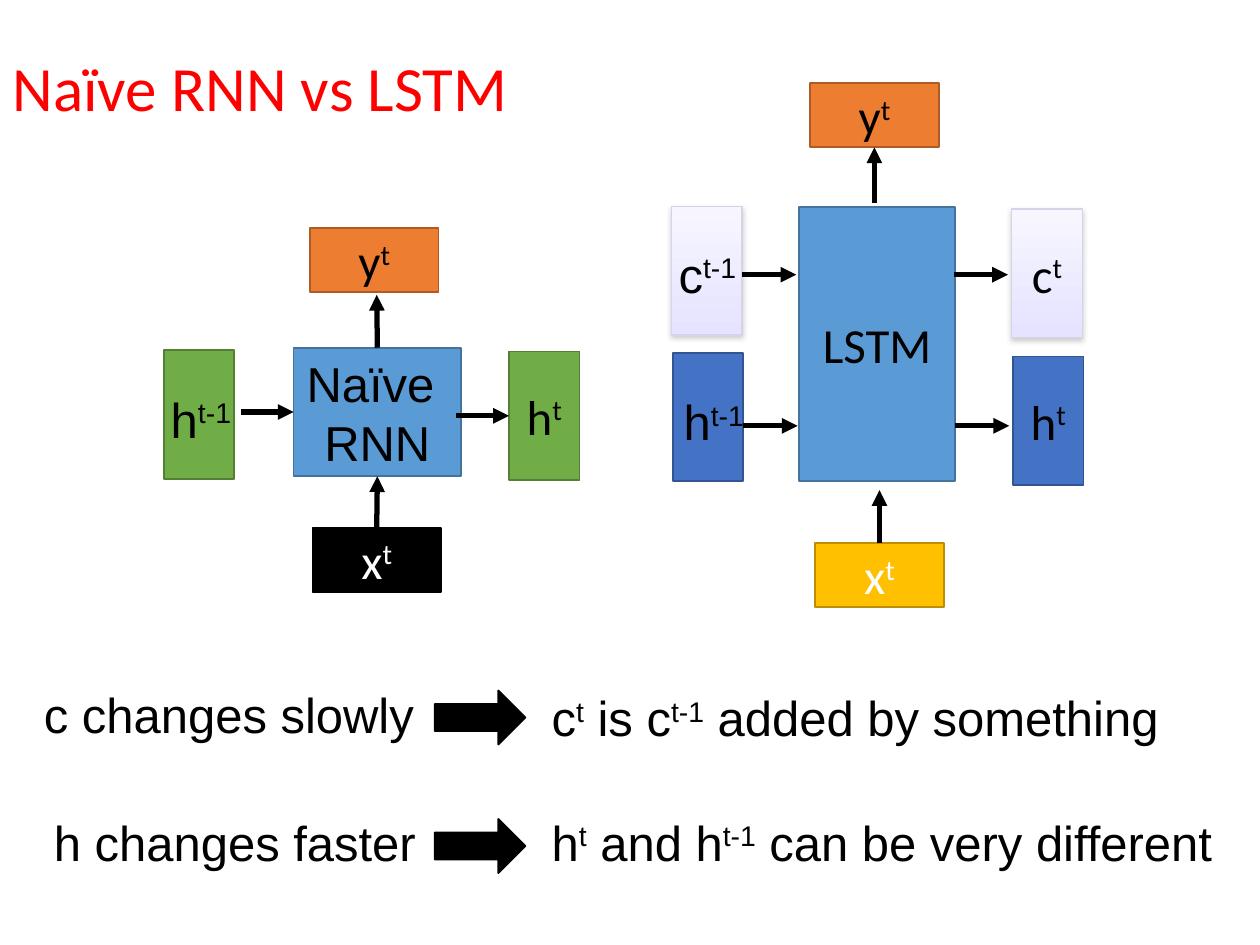
from lxml.etree import SubElement
from pptx import Presentation
from pptx.dml.color import RGBColor
from pptx.enum.shapes import MSO_CONNECTOR, MSO_SHAPE
from pptx.enum.text import MSO_ANCHOR, MSO_AUTO_SIZE, PP_ALIGN
from pptx.oxml.ns import qn
from pptx.util import Inches, Pt

TOP, LEFT, BOTTOM, RIGHT = range(4)
TALL, WIDE = (0.56, 1.02), (1.02, 0.51)
BLACK, WHITE = "000000", "FFFFFF"
GREEN, ORANGE = ("70AD47", "538035"), ("ED7D31", "AF5C24")
LIGHT_BLUE, DEEP_BLUE = ("5B9BD5", "43739E"), ("4472C4", "325491")
GOLD, INK = ("FFC000", "BD8E00"), (BLACK, BLACK)
LAVENDER = (("F7F6FF", "E5E3FF"), "D4D3E7")


def color(hex_value):
    return RGBColor.from_string(hex_value)


def write(frame, markup, font="Arial", ink=BLACK, size=28, align=PP_ALIGN.LEFT):
    """Fill a text frame; parts between bars are superscripts, newlines split paragraphs."""
    for index, line in enumerate(markup.split("\n")):
        paragraph = frame.add_paragraph() if index else frame.paragraphs[0]
        paragraph.alignment = align
        for part, text in enumerate(line.split("|")):
            if not text:
                continue
            run = paragraph.add_run()
            run.text = text
            for key, value in {"name": font, "size": Pt(size)}.items():
                setattr(run.font, key, value)
            run.font.color.rgb = color(ink)
            if part % 2:
                run._r.get_or_add_rPr().set("baseline", "30000")


def add_label(slide, origin, offset, size, markup, wrap=True, align=PP_ALIGN.LEFT):
    position = [Inches(a + b) for a, b in zip(origin, offset)]
    frame = slide.shapes.add_textbox(*position, *map(Inches, size)).text_frame
    frame.word_wrap = wrap
    write(frame, markup, align=align)


def add_state_label(slide, origin, offset, markup):
    add_label(slide, origin, offset, (0.73, 0.57), markup, False, PP_ALIGN.CENTER)


def add_soft_shadow(shape):
    effects = shape._element.spPr.find(qn("a:effectLst"))
    shadow = SubElement(effects, qn("a:outerShdw"), blurRad=str(Pt(3.1)),
                        dist=str(Pt(1.6)), dir="5400000", rotWithShape="0")
    tint = SubElement(shadow, qn("a:srgbClr"), val="808080")
    SubElement(tint, qn("a:alpha"), val="38000")


def add_block(slide, origin, offset, size, palette, markup="", font="Calibri",
              ink=BLACK, kind=MSO_SHAPE.RECTANGLE):
    position = [Inches(a + b) for a, b in zip(origin, offset)]
    block = slide.shapes.add_shape(kind, *position, *map(Inches, size))
    block.shadow.inherit = False
    fill, outline = palette
    block.line.color.rgb = color(outline)
    block.line.width = Pt(1)
    if isinstance(fill, tuple):
        block.fill.gradient()
        block.fill.gradient_angle = 270
        for stop, shade in zip(block.fill.gradient_stops, fill):
            stop.color.rgb = color(shade)
        block.line.width = Pt(0.75)
        add_soft_shadow(block)
    else:
        block.fill.solid()
        block.fill.fore_color.rgb = color(fill)
    if markup:
        block.text_frame.vertical_anchor = MSO_ANCHOR.MIDDLE
        write(block.text_frame, markup, font, ink, align=PP_ALIGN.CENTER)
    return block


def add_flow(slide, origin, start, end, source=None, target=None):
    """Draw an arrow; source and target are optional (block, side) joints."""
    ends = [Inches(origin[axis] + point[axis]) for point in (start, end) for axis in (0, 1)]
    flow = slide.shapes.add_connector(MSO_CONNECTOR.STRAIGHT, *ends)
    flow.line.color.rgb = color(BLACK)
    flow.line.width = Pt(3)
    SubElement(flow.line._get_or_add_ln(), qn("a:tailEnd"), type="triangle")
    SubElement(flow._element.spPr, qn("a:effectLst"))
    if source:
        flow.begin_connect(*source)
    if target:
        flow.end_connect(*target)


def add_title(slide, left, top, width, height):
    title = slide.shapes.title
    box = {"left": left, "top": top, "width": width, "height": height}
    for key, value in box.items():
        setattr(title, key, Inches(value))
    frame = title.text_frame
    frame.auto_size = MSO_AUTO_SIZE.NONE
    frame.vertical_anchor = MSO_ANCHOR.MIDDLE
    write(frame, "Naïve RNN vs LSTM", "Calibri", "FF0000", 36)
    frame.paragraphs[0].line_spacing = 0.9


def add_naive_rnn(slide, left, top):
    box = (left, top)
    add_block(slide, box, (0, 0.97), TALL, GREEN)
    cell = add_block(slide, box, (1.03, 0.95), (1.33, 1.02), LIGHT_BLUE, "Naïve \nRNN", "Arial")
    next_h = add_block(slide, box, (2.74, 0.98), TALL, GREEN, "h|t|")
    add_block(slide, box, (1.16, 0), WIDE, ORANGE, "y|t|")
    x = add_block(slide, box, (1.18, 2.38), WIDE, INK, "x|t|", ink=WHITE)
    add_flow(slide, box, (0.61, 1.46), (1.03, 1.46), target=(cell, LEFT))
    add_flow(slide, box, (2.32, 1.49), (2.74, 1.49), target=(next_h, LEFT))
    add_flow(slide, box, (1.69, 0.95), (1.69, 0.53), source=(cell, TOP))
    add_flow(slide, box, (1.69, 2.38), (1.69, 1.97), (x, TOP), (cell, BOTTOM))
    add_state_label(slide, box, (-0.07, 1.23), "h|t-1|")


def add_lstm(slide, left, top):
    box = (left, top)
    add_block(slide, box, (1.01, 0.98), (1.24, 2.18), LIGHT_BLUE, "LSTM")
    add_block(slide, box, (0, 0.98), TALL, LAVENDER)
    add_block(slide, box, (0.01, 2.14), TALL, DEEP_BLUE)
    add_block(slide, box, (2.7, 1), TALL, LAVENDER, "c|t|")
    add_block(slide, box, (2.71, 2.17), TALL, DEEP_BLUE, "h|t|")
    y = add_block(slide, box, (1.1, 0), WIDE, ORANGE, "y|t|")
    x = add_block(slide, box, (1.14, 3.65), WIDE, GOLD, "x|t|", ink=WHITE)
    for row, shift in ((1.52, 0), (2.72, 0.01)):
        for start in (0.56, 2.24):
            add_flow(slide, box, (start + shift, row), (start + shift + 0.43, row))
    add_flow(slide, box, (1.61, 0.95), (1.61, 0.51), target=(y, BOTTOM))
    add_flow(slide, box, (1.65, 3.65), (1.65, 3.23), source=(x, TOP))
    add_state_label(slide, box, (-0.03, 2.4), "h|t-1|")
    add_state_label(slide, box, (-0.08, 1.23), "c|t-1|")


def add_statement(slide, left, top, cause, effect, indent=0, drop=0):
    box = (left, top)
    add_label(slide, box, (indent, 0), (3.25, 0.57), cause)
    add_block(slide, box, (3.2, 0.1), (0.72, 0.43), INK, kind=MSO_SHAPE.RIGHT_ARROW)
    add_label(slide, box, (4.03, drop), (5.72, 0.57), effect)


def main():
    deck = Presentation()
    deck.slide_width, deck.slide_height = Inches(10), Inches(7.5)
    slide = deck.slides.add_slide(deck.slide_layouts[5])
    add_title(slide, 0, 0, 5.23, 1.45)
    add_naive_rnn(slide, 1.3, 1.81)
    add_lstm(slide, 5.33, 0.66)
    add_statement(slide, 0.25, 5.38, "c changes slowly",
                  "c|t| is c|t-1| added by something", drop=0.03)
    add_statement(slide, 0.25, 6.4, "h changes faster",
                  "h|t| and h|t-1| can be very different", indent=0.08)
    deck.save("out.pptx")


if __name__ == "__main__":
    main()
